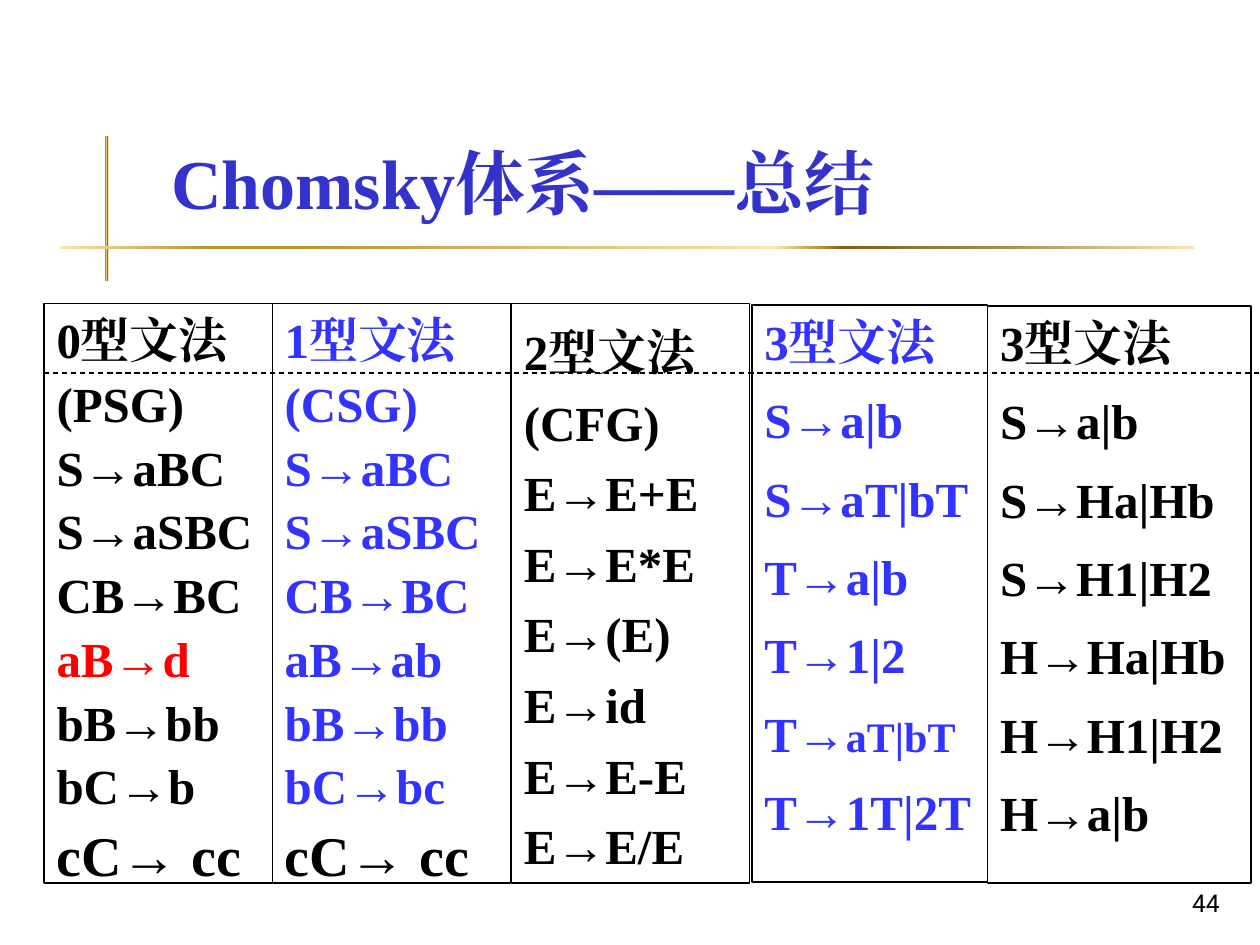
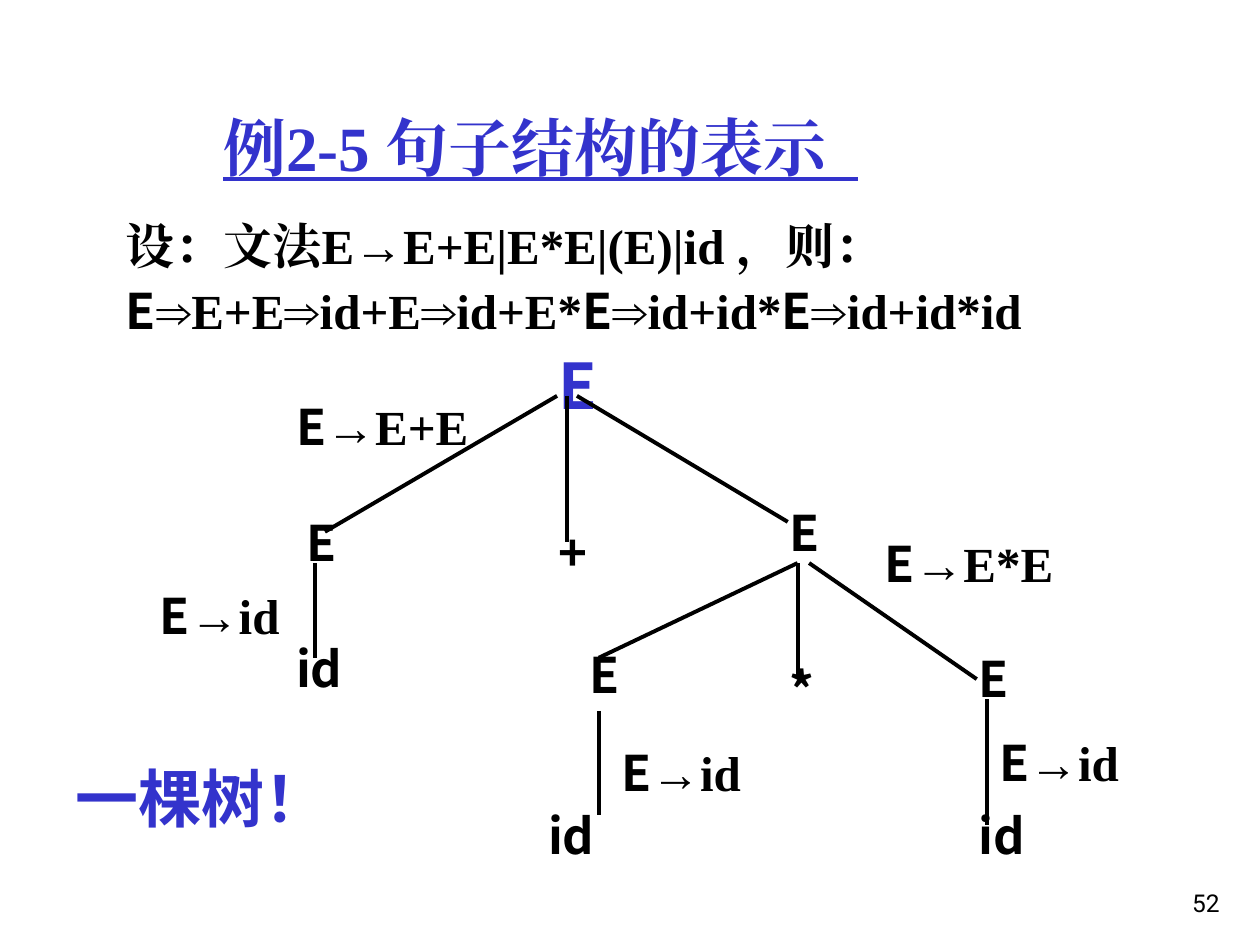
from lxml import etree
from pptx import Presentation
from pptx import util as u
from pptx.dml.color import RGBColor
from pptx.enum import dml, shapes, text
from pptx.oxml import ns

BLACK = RGBColor(0x00, 0x00, 0x00)
RED = RGBColor(0xFF, 0x00, 0x00)
BLUE = RGBColor(0x33, 0x33, 0xFF)
TITLE_BLUE = RGBColor(0x33, 0x33, 0xCC)
GOLD_STOPS = [(0, "FBE4AE"), (13, "BD922A"), (21, "BD922A"), (63, "FBE4AE"),
              (67, "BD922A"), (69, "835E17"), (82, "A28949"), (100, "FAE3B7")]

SERIF = "Times New Roman"
SANS = "Noto Sans CJK SC"
SANS_JP = "Noto Sans CJK JP"
NUMBER_FONT = "Roboto"

LEFT, CENTER = text.PP_ALIGN.LEFT, text.PP_ALIGN.CENTER
RIGHT, JUSTIFY = text.PP_ALIGN.RIGHT, text.PP_ALIGN.JUSTIFY
TOP, MIDDLE, BOTTOM = (text.MSO_ANCHOR.TOP, text.MSO_ANCHOR.MIDDLE,
                       text.MSO_ANCHOR.BOTTOM)


# ---- Text ----
def add_span(para, words, font=SERIF, size=28, color=BLACK, bold=True,
             underline=None):
    span = para.add_run()
    span.text = words
    span.font.name, span.font.size = font, u.Pt(size)
    span.font.bold, span.font.underline = bold, underline
    span.font.color.rgb = color
    east_asian = etree.SubElement(span._r.get_or_add_rPr(), ns.qn("a:ea"))
    east_asian.set("typeface", font)


def write_text(box, paragraphs, align=LEFT, anchor=TOP, line=1.0, gap=0,
               hanging=0, **style):
    """Write paragraphs, each a string or a list of (words, style) spans.

    A span whose words are a line feed breaks the line; gap is the space
    before a paragraph as a share of its text size.
    """
    frame = box.text_frame
    frame.word_wrap, frame.vertical_anchor = True, anchor
    frame.auto_size = text.MSO_AUTO_SIZE.NONE
    for index, spans in enumerate(paragraphs):
        para = frame.add_paragraph() if index else frame.paragraphs[0]
        if isinstance(spans, str):
            spans = [(spans, {})]
        para.alignment, para.line_spacing = align, line
        size = spans[0][1].get("size", style.get("size", 28))
        para.space_before = u.Pt(round(gap * size, 1) if index else 0)
        if hanging:
            properties = para._p.get_or_add_pPr()
            properties.set("marL", str(u.Cm(hanging)))
            properties.set("indent", str(-u.Cm(hanging)))
        for words, changes in spans:
            if words == "\n":
                para.add_line_break()
            else:
                add_span(para, words, **{**style, **changes})


def place(box, area):
    box.left, box.top, box.width, box.height = (u.Cm(value) for value in area)


def add_text(page, area, paragraphs, **style):
    box = page.shapes.add_textbox(*(u.Cm(value) for value in area))
    write_text(box, paragraphs, **style)


# ---- Shapes and lines ----
def add_rectangle(page, area):
    box = page.shapes.add_shape(shapes.MSO_SHAPE.RECTANGLE,
                                *(u.Cm(value) for value in area))
    box.shadow.inherit = False
    return box


def add_line(page, start, end, width=2.25, dash=None):
    line = page.shapes.add_connector(
        shapes.MSO_CONNECTOR.STRAIGHT,
        *(u.Cm(value) for value in (*start, *end)))
    line.line.color.rgb, line.line.width = BLACK, u.Pt(width)
    if dash:
        line.line.dash_style = dash
    etree.SubElement(line._element.spPr, ns.qn("a:effectLst"))


def add_gold_band(page, area):
    band = add_rectangle(page, area)
    band.line.fill.background()
    band.fill.gradient()
    band.fill.gradient_angle = 0
    stops = band._element.spPr.find(".//" + ns.qn("a:gsLst"))
    for stop in list(stops):
        stops.remove(stop)
    for percent, color in GOLD_STOPS:
        stop = etree.SubElement(stops, ns.qn("a:gs"), pos=str(percent * 1000))
        etree.SubElement(stop, ns.qn("a:srgbClr"), val=color)


# ---- Slide frame ----
def add_page(deck, title, area, number, **style):
    page = deck.slides.add_slide(deck.slide_layouts.get_by_name("Title Only"))
    place(page.shapes.title, area)
    write_text(page.shapes.title, [title], color=TITLE_BLUE, **style)
    add_text(page, (19.56, 17.35, 5.28, 1.27), [number], align=RIGHT,
             anchor=BOTTOM, font=NUMBER_FONT, size=14, bold=False)
    return page


# ---- Slide 1: grammar types ----
def add_grammar(page, area, rules, **style):
    box = add_rectangle(page, area)
    box.fill.background()
    box.line.color.rgb, box.line.width = BLACK, u.Pt(0.75)
    write_text(box, rules, **style)


def build_summary(deck):
    page = add_page(deck, "Chomsky体系——总结", (3.2, 0.58, 21.64, 4.06), "44",
                    anchor=BOTTOM, size=40)
    add_gold_band(page, (2.11, 2.74, 0.08, 2.92))
    add_gold_band(page, (1.22, 4.95, 22.86, 0.08))

    last_rule = [("cC→ cc", {"size": 32, "color": BLACK})]
    listed = {"align": JUSTIFY, "gap": 0.1, "hanging": 0.97}
    add_grammar(page, (5.49, 6.12, 4.8, 11.68),
                ["1型文法", "(CSG)", "S→aBC", "S→aSBC", "CB→BC", "aB→ab",
                 "bB→bb", "bC→bc", last_rule], color=BLUE, **listed)
    add_grammar(page, (0.89, 6.12, 4.6, 11.68),
                ["0型文法", "(PSG)", "S→aBC", "S→aSBC", "CB→BC",
                 [("aB→d", {"color": RED})], "bB→bb", "bC→b", last_rule],
                **listed)
    add_grammar(page, (10.31, 6.12, 4.8, 11.68),
                ["2型文法", "(CFG)", "E→E+E", "E→E*E", "E→(E)", "E→id",
                 "E→E-E", "E→E/E"], line=1.2)
    add_grammar(page, (15.16, 6.15, 4.75, 11.63),
                ["3型文法", "S→a|b", "S→aT|bT", "T→a|b", "T→1|2",
                 [("T→", {}), ("aT|bT", {"size": 24})], "T→1T|2T"],
                color=BLUE, gap=0.4)
    add_grammar(page, (19.91, 6.17, 5.31, 11.63),
                ["3型文法", "S→a|b", "S→Ha|Hb", "S→H1|H2", "H→Ha|Hb",
                 "H→H1|H2", "H→a|b"], gap=0.4)
    add_line(page, (0.89, 7.52), (25.4, 7.52), width=0.75,
             dash=dml.MSO_LINE.DASH)


# ---- Slide 2: parse tree ----
def add_node(page, symbol, left, top):
    add_text(page, (left, top, 3.18, 1.55), [symbol], font=SANS, line=1.1)


def add_rule(page, result, left, top, width):
    add_text(page, (left, top, width, 1.55),
             [[("E", {"font": SANS}), ("→" + result, {})]], line=1.1)


def build_tree(deck):
    page = add_page(deck, "例2-5 句子结构的表示  ", (2.11, 1.47, 17.58, 2.97),
                    "52", align=CENTER, anchor=MIDDLE, size=36, underline=True)

    # Derivation
    sans_e = ("E", {"font": SANS})
    add_text(page, (2.29, 4.11, 20.96, 2.9),
             [[("设：文法E→E+E|E*E|(E)|id ，则：", {}), ("\n", {}),
               sans_e, ("⇒E+E⇒id+E⇒id+E*", {}),
               sans_e, ("⇒id+id*", {}),
               sans_e, ("⇒id+id*id", {})]], line=1.1)

    # Nodes
    add_text(page, (11, 6.71, 3.18, 1.93), ["E"], font=SANS, size=36,
             color=TITLE_BLUE, line=1.1)
    for symbol, left, top in [
            ("E", 5.92, 10.08), ("+", 11, 10.29), ("E", 15.67, 9.88),
            ("id", 5.72, 12.62), ("E", 11.63, 12.75), ("*", 15.67, 13.06),
            ("E", 19.48, 12.83), ("id", 10.8, 16), ("id", 19.48, 16)]:
        add_node(page, symbol, left, top)

    # Branches
    for start, end in [
            ((11.23, 7.98), (6.55, 10.72)), ((11.43, 7.98), (11.43, 10.92)),
            ((11.63, 7.98), (15.88, 10.52)), ((6.35, 11.35), (6.35, 13.26)),
            ((16.08, 11.35), (12.07, 13.26)), ((16.08, 11.35), (16.08, 13.69)),
            ((16.31, 11.35), (19.69, 13.69)), ((12.07, 14.33), (12.07, 16.43)),
            ((19.89, 14.1), (19.89, 16.64))]:
        add_line(page, start, end)

    # Rules used at each step
    for result, left, top, width in [
            ("E+E", 5.72, 7.75, 4.01), ("id", 2.97, 11.56, 2.97),
            ("E*E", 17.58, 10.52, 4.01), ("id", 12.27, 14.73, 2.97),
            ("id", 19.89, 14.53, 3.18)]:
        add_rule(page, result, left, top, width)

    add_text(page, (1.27, 15.04, 7.62, 1.85),
             [[("一棵树", {"font": SANS_JP}), ("！", {"font": SANS})]],
             size=36, color=TITLE_BLUE, line=1.1)


def main():
    deck = Presentation()
    deck.slide_width, deck.slide_height = u.Cm(25.4), u.Cm(19.05)
    build_summary(deck)
    build_tree(deck)
    deck.save("out.pptx")


if __name__ == "__main__":
    main()
